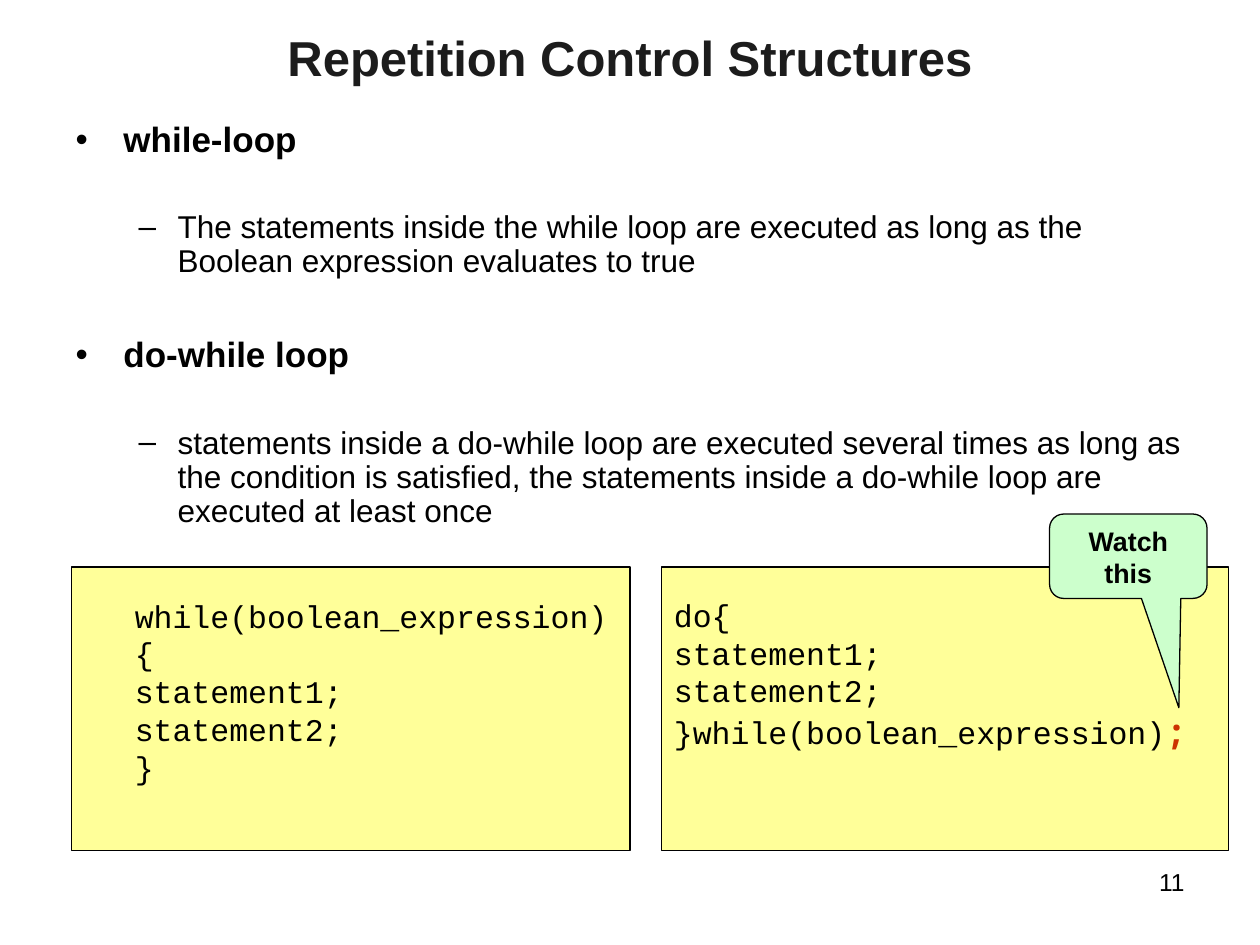
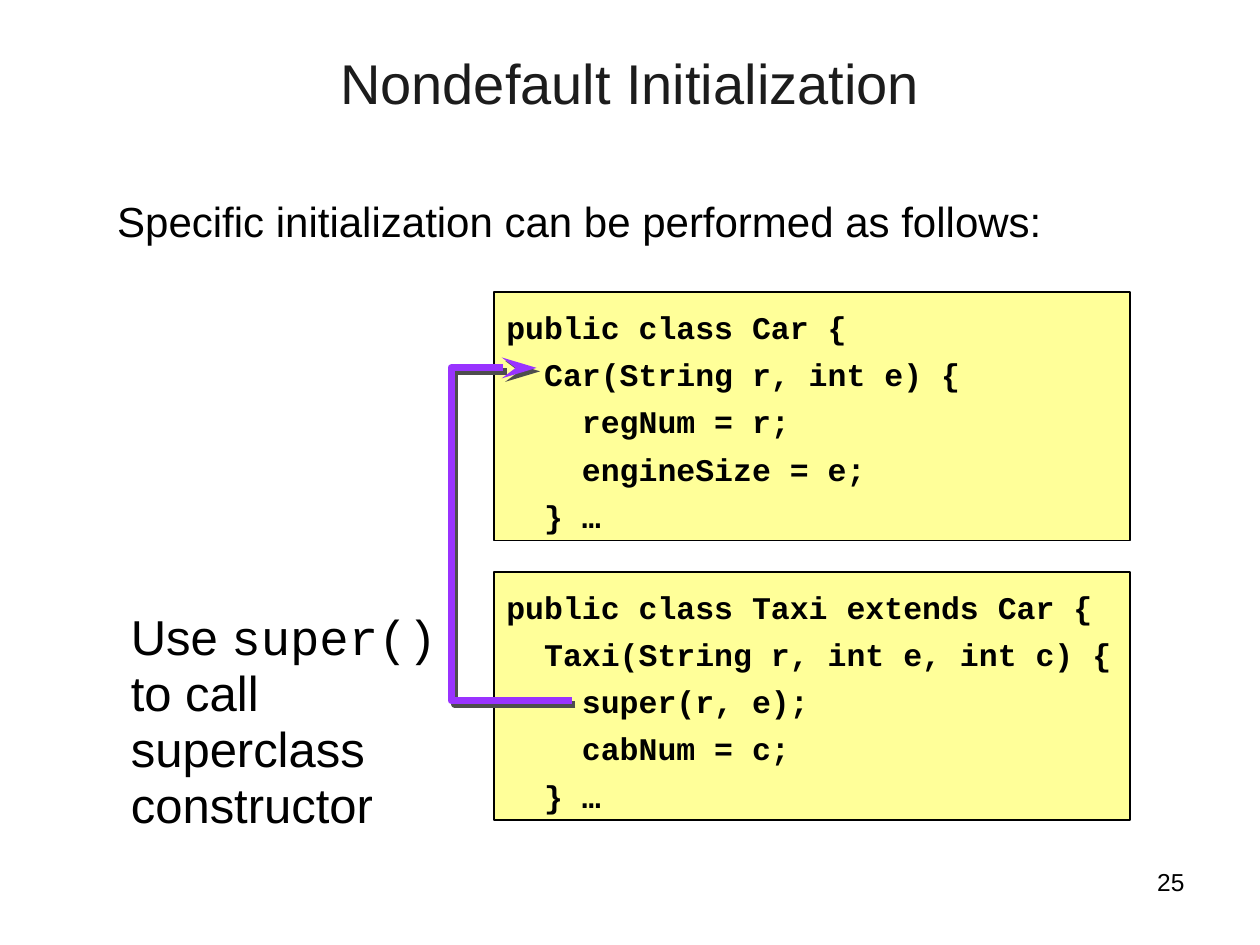
from dataclasses import dataclass

from lxml import etree
from pptx import Presentation
from pptx import util as u
from pptx.dml.color import RGBColor
from pptx.enum import shapes, text
from pptx.oxml.ns import qn


@dataclass(frozen=True)
class Theme:
    title_ink: str = "1C1C1C"
    ink: str = "000000"
    code_fill: str = "FFFF99"
    callout_fill: str = "CCFFCC"
    warning: str = "CC3300"
    arrow: str = "9933FF"
    shadow: str = "4D4D4D"
    sans: str = "Arial"
    mono: str = "Courier New"
    mark: str = "Noto Sans Mono"
    heading: float = 20
    detail: float = 18
    code: float = 18
    footer: float = 14
    lead: float = 24
    note: float = 28
    callout: float = 15.3


THEME = Theme()
LEFT, CENTER, RIGHT = (text.PP_ALIGN.LEFT, text.PP_ALIGN.CENTER, text.PP_ALIGN.RIGHT)
TOP, MIDDLE = text.MSO_ANCHOR.TOP, text.MSO_ANCHOR.MIDDLE
CODE_LINE = 0.28


def place(shape, left, top, width, height):
    shape.left, shape.top = u.Inches(left), u.Inches(top)
    shape.width, shape.height = u.Inches(width), u.Inches(height)


def set_frame(shape, anchor=TOP, left=0.1, bottom=0.05):
    frame = shape.text_frame
    frame.word_wrap = True
    frame.auto_size = text.MSO_AUTO_SIZE.NONE
    frame.vertical_anchor = anchor
    frame.margin_left, frame.margin_right = u.Inches(left), u.Inches(0.1)
    frame.margin_top, frame.margin_bottom = u.Inches(0.05), u.Inches(bottom)
    return frame


def add_run(paragraph, words, size, font=THEME.sans, color=THEME.ink, bold=False):
    run = paragraph.add_run()
    run.text = words
    run.font.name, run.font.size, run.font.bold = font, u.Pt(size), bold
    run.font.color.rgb = RGBColor.from_string(color)


def next_paragraph(frame, align=LEFT, spacing=None, before=0):
    """Return the unused first paragraph, or a new one."""
    first = frame.paragraphs[0]
    paragraph = frame.add_paragraph() if first.runs else first
    paragraph.alignment = align
    paragraph.line_spacing = spacing
    paragraph.space_before = u.Pt(before)
    return paragraph


def set_indent(paragraph, margin, hanging=0):
    properties = paragraph._p.get_or_add_pPr()
    properties.set("marL", str(u.Inches(margin)))
    properties.set("indent", str(-u.Inches(hanging)))
    return properties


def add_slide(presentation, title, number, size, bold=False, title_top=0.3):
    slide = presentation.slides.add_slide(presentation.slide_layouts[1])
    place(slide.shapes.title, 0.5, title_top, 9, 0.7)
    frame = set_frame(slide.shapes.title, MIDDLE)
    add_run(next_paragraph(frame, CENTER), title, size, color=THEME.title_ink, bold=bold)
    footer = add_text_box(slide, 7.17, 6.83, 2.33, 0.52)
    add_run(next_paragraph(footer, RIGHT), number, THEME.footer)
    return slide


def add_text_box(slide, left, top, width, height):
    box = slide.shapes.add_textbox(*map(u.Inches, (left, top, width, height)))
    return set_frame(box)


def place_body(slide, left, top, width, height):
    body = slide.placeholders[1]
    place(body, left, top, width, height)
    return set_frame(body)


def add_heading(frame, words, before):
    paragraph = next_paragraph(frame, spacing=0.9, before=before)
    set_indent(paragraph, 0.38, 0.38)
    add_run(paragraph, words, THEME.heading, bold=True)


def add_detail(frame, words):
    paragraph = next_paragraph(frame, spacing=0.9, before=29.5)
    paragraph.level = 1
    set_indent(paragraph, 0.81, 0.31)
    add_run(paragraph, words, THEME.detail)


def add_panel(slide, kind, bounds, fill, line_width):
    shape = slide.shapes.add_shape(kind, *map(u.Inches, bounds))
    shape.shadow.inherit = False
    shape.fill.solid()
    shape.fill.fore_color.rgb = RGBColor.from_string(fill)
    shape.line.color.rgb = RGBColor.from_string(THEME.ink)
    shape.line.width = u.Pt(line_width)
    return shape


def add_code(slide, bounds, lines, line_width=0.75, spacing=None, bold=False,
             margin=0, **frame_options):
    """Add a code panel; each line is (nesting depth, words)."""
    panel = add_panel(slide, shapes.MSO_SHAPE.RECTANGLE, bounds,
                      THEME.code_fill, line_width)
    frame = set_frame(panel, **frame_options)
    for depth, words in lines:
        paragraph = next_paragraph(frame, spacing=spacing)
        set_indent(paragraph, margin + 0.3 * depth)
        add_run(paragraph, words, THEME.code, THEME.mono, bold=bold)
    return frame


def add_callout(slide, bounds, words, pointer):
    callout = add_panel(slide, shapes.MSO_SHAPE.ROUNDED_RECTANGULAR_CALLOUT, bounds,
                        THEME.callout_fill, 0.75)
    for index, value in enumerate((*pointer, 0.167)):
        callout.adjustments[index] = value
    add_run(next_paragraph(set_frame(callout), CENTER), words, THEME.callout, bold=True)


def add_bent_arrow(slide, points):
    """Draw an open path with an arrowhead at its end and an offset shadow."""
    start, *others = [tuple(map(u.Inches, point)) for point in points]
    builder = slide.shapes.build_freeform(*start)
    builder.add_line_segments(others, close=False)
    arrow = builder.convert_to_shape()
    arrow.fill.background()
    arrow.line.color.rgb = RGBColor.from_string(THEME.arrow)
    arrow.line.width = u.Pt(4)
    line = arrow.line._get_or_add_ln()
    etree.SubElement(line, qn("a:round"))
    etree.SubElement(line, qn("a:tailEnd"), type="stealth", w="med", len="lg")
    arrow.shadow.inherit = False
    effects = arrow._element.spPr.find(qn("a:effectLst"))
    shadow = etree.SubElement(effects, qn("a:outerShdw"), dist=str(u.Pt(2.8)),
                              dir=str(45 * 60000), algn="ctr", rotWithShape="0")
    etree.SubElement(shadow, qn("a:srgbClr"), val=THEME.shadow)


def build_loops(presentation):
    slide = add_slide(presentation, "Repetition Control Structures", "11", 28,
                      bold=True, title_top=0.1)
    body = place_body(slide, 0.5, 0.92, 9, 5.78)
    add_heading(body, "while-loop", 5)
    add_detail(body, "The statements inside the while loop are executed as long as "
                     "the Boolean expression evaluates to true")
    add_heading(body, "do-while loop", 33)
    add_detail(body, "statements inside a do-while loop are executed several times as "
                     "long as the condition is satisfied, the statements inside a "
                     "do-while loop are executed at least once")

    statements = [(0, "statement1;"), (0, "statement2;")]
    add_code(slide, (0.57, 4.5, 4.43, 2.25),
             [(0, "while(boolean_expression){"), *statements, (0, "}")],
             margin=0.5, anchor=MIDDLE, left=0, bottom=0.05 + CODE_LINE)
    do_while = add_code(slide, (5.25, 4.5, 4.5, 2.25),
                        [(0, "do{"), *statements, (0, "}while(boolean_expression)")],
                        anchor=MIDDLE, bottom=0.05 + 2 * CODE_LINE)
    add_run(do_while.paragraphs[-1], ";", THEME.heading, THEME.mark, THEME.warning, True)
    add_callout(slide, (8.33, 4.08, 1.25, 0.67), "Watch this", (0.321, 1.794))


def build_initialization(presentation):
    slide = add_slide(presentation, "Nondefault Initialization", "25", 32)
    lead = next_paragraph(place_body(slide, 0.83, 1.5, 8.24, 0.5), before=6)
    etree.SubElement(set_indent(lead, 0), qn("a:buNone"))
    add_run(lead, "Specific initialization can be performed as follows:", THEME.lead)

    car = [(0, "public class Car {"), (1, "Car(String r, int e) {"),
           (2, "regNum = r;"), (2, "engineSize = e;"), (1, "} …")]
    taxi = [(0, "public class Taxi extends Car {"),
            (1, "Taxi(String r, int e, int c) {"),
            (2, "super(r, e);"), (2, "cabNum = c;"), (1, "} …")]
    for top, lines in ((2.32, car), (4.54, taxi)):
        add_code(slide, (3.92, top, 5.05, 1.97), lines, line_width=1,
                 spacing=1.25, bold=True)
    add_bent_arrow(slide, [(4.54, 5.56), (3.58, 5.56), (3.58, 2.92), (4.26, 2.92)])

    note = next_paragraph(add_text_box(slide, 0.94, 4.8, 2.95, 1.88),
                          spacing=0.95, before=12.2)
    add_run(note, "Use ", THEME.note)
    add_run(note, "super()", THEME.note, THEME.mono)
    add_run(note, " to call superclass constructor", THEME.note)


def main():
    presentation = Presentation()
    presentation.slide_width, presentation.slide_height = u.Inches(10), u.Inches(7.5)
    build_loops(presentation)
    build_initialization(presentation)
    presentation.save("out.pptx")


if __name__ == "__main__":
    main()
